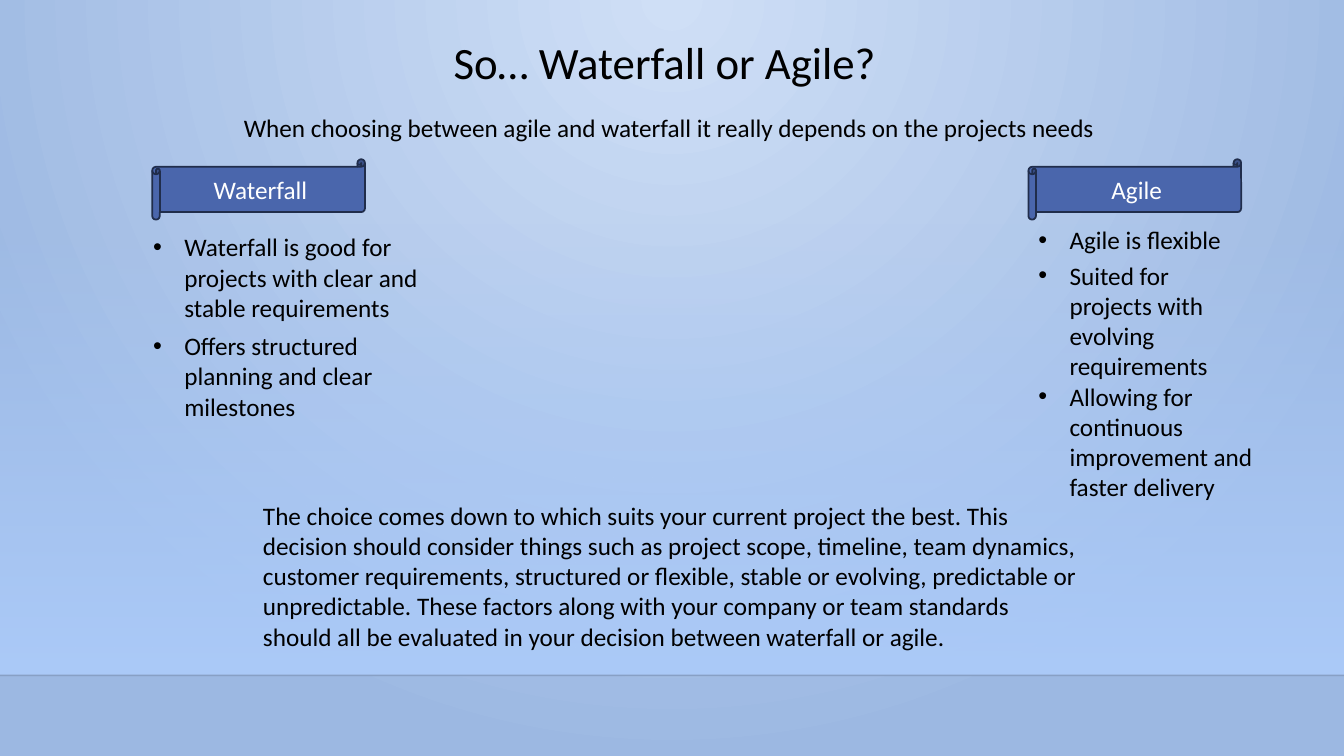
"""Build the slide that weighs Waterfall against Agile."""
from lxml.etree import SubElement
from pptx import Presentation
from pptx.dml.color import RGBColor
from pptx.enum.shapes import MSO_CONNECTOR as CONNECTOR, MSO_SHAPE as SHAPE
from pptx.enum.text import MSO_ANCHOR as ANCHOR, MSO_AUTO_SIZE as AUTO_SIZE, PP_ALIGN as ALIGN
from pptx.oxml.ns import qn
from pptx.util import Inches, Pt

TITLE = "So… Waterfall or Agile?"
SUBTITLE = "When choosing between agile and waterfall it really depends on the projects needs"
CONCLUSION = (
    "The choice comes down to which suits your current project the best. This decision should "
    "consider things such as project scope, timeline, team dynamics, customer requirements, "
    "structured or flexible, stable or evolving, predictable or unpredictable. These factors along "
    "with your company or team standards should all be evaluated in your decision between "
    "waterfall or agile."
)
METHODS = [
    {"name": "Waterfall", "banner_left": 1.51, "points_left": 1.42, "points": [
        ("Waterfall is good for projects with clear and stable requirements", 2.25, 3.06, 1.01),
        ("Offers structured planning and clear milestones", 3.23, 2.67, 1.01)]},
    {"name": "Agile", "banner_left": 10.2, "points_left": 10.2, "points": [
        ("Agile is flexible", 2.18, 2.04, 0.4),
        ("Suited for projects with evolving requirements", 2.53, 2.34, 1.31),
        ("Allowing for continuous improvement and faster delivery", 3.73, 2.34, 1.31)]},
]

WIDTH, HEIGHT = 13.33, 7.5
PANEL_TOP, FLOOR = 2.21, 6.7
BANNER_TOP, BANNER_WIDTH, BANNER_HEIGHT = 1.58, 2.11, 0.6
BULLET_INDENT = 0.31

BLACK = RGBColor(0x00, 0x00, 0x00)
WHITE = RGBColor(0xFF, 0xFF, 0xFF)
SKY_LIGHT = RGBColor(0xCF, 0xDF, 0xF6)
SKY_DARK = RGBColor(0x9C, 0xB8, 0xE2)
PANEL_BLUE = RGBColor(0xAC, 0xCB, 0xF9)
FLOOR_LINE = RGBColor(0x00, 0x00, 0x01)
BANNER_FILL = RGBColor(0x4A, 0x66, 0xAC)
BANNER_EDGE = RGBColor(0x20, 0x2D, 0x4B)


def add_element(parent, tag, **attributes):
    return SubElement(parent, qn(tag), {key: str(value) for key, value in attributes.items()})


def set_gradient(fill, holder, stops):
    fill.gradient()
    gradient = next(holder.iter(qn("a:gradFill")))
    for child in list(gradient):
        gradient.remove(child)
    stop_list = add_element(gradient, "a:gsLst")
    for position, color, opacity in stops:
        stop = add_element(stop_list, "a:gs", pos=position * 1000)
        tint = add_element(stop, "a:srgbClr", val=color)
        if opacity < 100:
            add_element(tint, "a:alpha", val=opacity * 1000)
    return gradient


def write(shape, text, size=18, color=BLACK, bullet=False, align=None):
    paragraph = shape.text_frame.paragraphs[0]
    if bullet:
        properties = paragraph._p.get_or_add_pPr()
        indent = Inches(BULLET_INDENT)
        properties.set("marL", str(indent))
        properties.set("indent", str(-indent))
        add_element(properties, "a:buFont", typeface="Arial")
        add_element(properties, "a:buChar", char="•")
    if align is not None:
        paragraph.alignment = align
    run = paragraph.add_run()
    run.text = text
    for key, value in {"name": "Calibri", "size": Pt(size)}.items():
        setattr(run.font, key, value)
    run.font.color.rgb = color


def add_text(slide, box, text, wrap=True, **style):
    label = slide.shapes.add_textbox(*map(Inches, box))
    label.text_frame.word_wrap = wrap
    label.text_frame.auto_size = AUTO_SIZE.SHAPE_TO_FIT_TEXT
    write(label, text, **style)


def add_backdrop(slide):
    sky = set_gradient(slide.background.fill, slide._element,
                       [(0, SKY_LIGHT, 100), (100, SKY_DARK, 100)])
    glow = add_element(sky, "a:path", path="circle")
    add_element(glow, "a:fillToRect", l=43000, t=0, r=43000, b=100000)

    panel = slide.shapes.add_shape(
        SHAPE.RECTANGLE, *map(Inches, (0, PANEL_TOP, WIDTH, FLOOR - PANEL_TOP)))
    panel.shadow.inherit = False
    panel.line.fill.background()
    fade = set_gradient(panel.fill, panel._element,
                        [(0, PANEL_BLUE, 0), (100, PANEL_BLUE, 100)])
    add_element(fade, "a:lin", ang=90 * 60000, scaled=0)

    floor = slide.shapes.add_connector(
        CONNECTOR.STRAIGHT, *map(Inches, (0, FLOOR, WIDTH, FLOOR)))
    floor.line.color.rgb = FLOOR_LINE
    floor.line.width = Pt(1)
    properties = floor._element.spPr
    add_element(next(properties.iter(qn("a:srgbClr"))), "a:alpha", val=20000)
    add_element(properties, "a:effectLst")


def add_banner(slide, left, name):
    banner = slide.shapes.add_shape(
        SHAPE.HORIZONTAL_SCROLL, *map(Inches, (left, BANNER_TOP, BANNER_WIDTH, BANNER_HEIGHT)))
    banner.shadow.inherit = False
    banner.fill.solid()
    banner.fill.fore_color.rgb = BANNER_FILL
    banner.line.color.rgb = BANNER_EDGE
    banner.line.width = Pt(1.25)
    banner.text_frame.vertical_anchor = ANCHOR.MIDDLE
    write(banner, name, color=WHITE, align=ALIGN.CENTER)


def main():
    deck = Presentation()
    deck.slide_width, deck.slide_height = Inches(WIDTH), Inches(HEIGHT)
    slide = deck.slides.add_slide(deck.slide_layouts[6])
    add_backdrop(slide)
    add_text(slide, (4.4, 0.3, 4.53, 0.64), TITLE, wrap=False, size=32)
    add_text(slide, (2.32, 1.07, 8.69, 0.4), SUBTITLE, wrap=False)
    for method in METHODS:
        for point, top, width, height in method["points"]:
            add_text(slide, (method["points_left"], top, width, height), point, bullet=True)
        add_banner(slide, method["banner_left"], method["name"])
    add_text(slide, (2.51, 4.91, 8.32, 1.62), CONCLUSION)
    deck.save("out.pptx")


if __name__ == "__main__":
    main()
